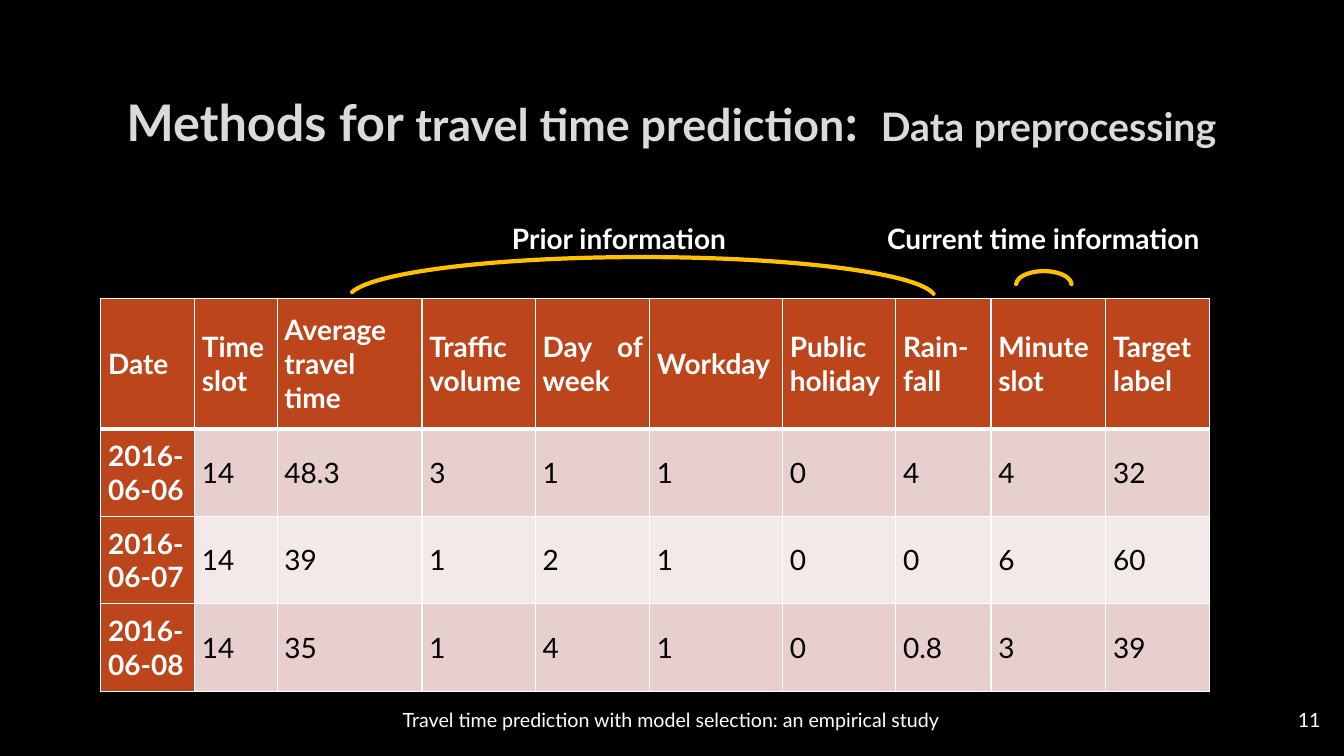
from dataclasses import dataclass

from lxml import etree
from pptx import Presentation
from pptx.dml.color import RGBColor
from pptx.enum.shapes import MSO_SHAPE
from pptx.enum.text import MSO_ANCHOR, MSO_AUTO_SIZE, PP_ALIGN as Align
from pptx.oxml.ns import qn
from pptx.util import Pt

FONT = "Lato"
BLACK = RGBColor(0x00, 0x00, 0x00)
WHITE = RGBColor(0xFF, 0xFF, 0xFF)
GREY = RGBColor(0xDA, 0xDA, 0xDA)
OUTLINE = RGBColor(0x40, 0x40, 0x40)
RUST = RGBColor(0xBC, 0x45, 0x1B)
BANDS = (RGBColor(0xE7, 0xCF, 0xCD), RGBColor(0xF3, 0xE9, 0xE8))
AMBER = RGBColor(0xFF, 0xC0, 0x00)

TITLE_RUNS = (
    ("Methods for ", 36),
    ("travel time prediction", 32),
    (": ", 36),
    (" ", 32),
    ("Data preprocessing", 28),
)
COL_WIDTHS = (67, 59, 103.5, 81, 81.5, 95, 81, 68, 82, 74)
ROW_HEIGHTS = (93.5, 62.4, 62.4, 62.4)
ROWS = (
    ("Date", "Time\nslot", "Average travel time", "Traffic volume", "Day of week",
     "Workday", "Public holiday", "Rain-fall", "Minute\nslot", "Target label"),
    ("2016-06-06", "14", "48.3", "3", "1", "1", "0", "4", "4", "32"),
    ("2016-06-07", "14", "39", "1", "2", "1", "0", "0", "6", "60"),
    ("2016-06-08", "14", "35", "1", "4", "1", "0", "0.8", "3", "39"),
)


@dataclass(frozen=True)
class Box:
    left: float
    top: float
    width: float
    height: float

    def lengths(self) -> tuple:
        return Pt(self.left), Pt(self.top), Pt(self.width), Pt(self.height)


@dataclass(frozen=True)
class Label:
    text: str
    box: Box
    size: float = 20
    bold: bool = True
    align: Align = Align.CENTER


LABELS = (
    Label("Travel time prediction with model selection: an empirical study",
          Box(108, 501.8, 743, 28.8), size=14, bold=False),
    Label("11", Box(891.4, 501.8, 59, 28.8), size=14, bold=False, align=Align.RIGHT),
    Label("Prior information", Box(358.6, 154.8, 186.5, 31.7), align=Align.LEFT),
    Label("Current time information", Box(614.2, 154.8, 262, 31.7)),
)
BRACKET_ARCS = (Box(249.1, 183.6, 419, 59), Box(725.8, 193.7, 39.6, 19.4))


def add_run(p, text: str, *, size: float = 20, color: RGBColor = WHITE, bold: bool = False):
    r = p.add_run()
    r.text = text
    r.font.name = FONT
    r.font.size = Pt(size)
    r.font.bold = bold
    r.font.color.rgb = color
    return r


def write_text(tf, text: str, *, align: Align = Align.LEFT, **font) -> None:
    """Write one paragraph for each line of text."""
    for i, line in enumerate(text.split("\n")):
        p = tf.paragraphs[0] if i == 0 else tf.add_paragraph()
        p.alignment = align
        add_run(p, line, **font)


def make_line(tag: str, width: float, color: RGBColor, alpha: int = 100):
    """Return a solid line element; alpha is a percentage."""
    ln = etree.Element(qn(tag), w=str(Pt(width)))
    fill = etree.SubElement(ln, qn("a:solidFill"))
    clr = etree.SubElement(fill, qn("a:srgbClr"), val=str(color))
    if alpha < 100:
        etree.SubElement(clr, qn("a:alpha"), val=str(alpha * 1000))
    return ln


def add_title(s) -> None:
    sp = s.shapes.title
    sp.left, sp.top, sp.width, sp.height = Box(72, 48.2, 815, 76.3).lengths()
    tf = sp.text_frame
    tf.word_wrap = True
    tf.auto_size = MSO_AUTO_SIZE.NONE
    tf.vertical_anchor = MSO_ANCHOR.MIDDLE
    p = tf.paragraphs[0]
    p.alignment = Align.CENTER
    for text, size in TITLE_RUNS:
        r = add_run(p, text, size=size, color=GREY, bold=True)
        r.font._element.insert(0, make_line("a:ln", 0.75, OUTLINE, alpha=10))


def add_label(s, label: Label) -> None:
    tf = s.shapes.add_textbox(*label.box.lengths()).text_frame
    tf.word_wrap = True
    write_text(tf, label.text, align=label.align, size=label.size, bold=label.bold)


def add_bracket_arc(s, box: Box) -> None:
    sp = s.shapes.add_shape(MSO_SHAPE.ARC, *box.lengths())
    sp.adjustments[0] = 108.74
    sp.adjustments[1] = 215.47
    sp.shadow.inherit = False
    sp.fill.background()
    sp.line.color.rgb = AMBER
    sp.line.width = Pt(3)
    sp.line._ln.set("cap", "rnd")


def format_cell(cell, text: str, row: int, col: int) -> None:
    heading = row == 0 or col == 0
    cell.margin_left = cell.margin_right = Pt(5.2)
    cell.margin_top = cell.margin_bottom = 0
    cell.vertical_anchor = MSO_ANCHOR.MIDDLE
    write_text(cell.text_frame, text, align=Align.JUSTIFY, bold=heading,
               color=WHITE if heading else BLACK)
    tc_pr = cell._tc.get_or_add_tcPr()
    widths = {"L": 1, "R": 1, "T": 3 if row == 1 else 1, "B": 3 if row == 0 else 1}
    for side, width in widths.items():
        tc_pr.append(make_line(f"a:ln{side}", width, WHITE))
    cell.fill.solid()
    cell.fill.fore_color.rgb = RUST if heading else BANDS[(row - 1) % 2]


def add_data_table(s) -> None:
    box = Box(72, 213, sum(COL_WIDTHS), sum(ROW_HEIGHTS))
    table = s.shapes.add_table(len(ROWS), len(COL_WIDTHS), *box.lengths()).table
    table.first_col = True
    for column, width in zip(table.columns, COL_WIDTHS):
        column.width = Pt(width)
    for i, (height, values) in enumerate(zip(ROW_HEIGHTS, ROWS)):
        table.rows[i].height = Pt(height)
        for j, value in enumerate(values):
            format_cell(table.cell(i, j), value, i, j)


def main() -> None:
    prs = Presentation()
    prs.slide_width, prs.slide_height = Pt(960), Pt(540)
    s = prs.slides.add_slide(prs.slide_layouts.get_by_name("Title Only"))
    s.background.fill.solid()
    s.background.fill.fore_color.rgb = BLACK
    add_title(s)
    add_data_table(s)
    for box in BRACKET_ARCS:
        add_bracket_arc(s, box)
    for label in LABELS:
        add_label(s, label)
    prs.save("out.pptx")


if __name__ == "__main__":
    main()
